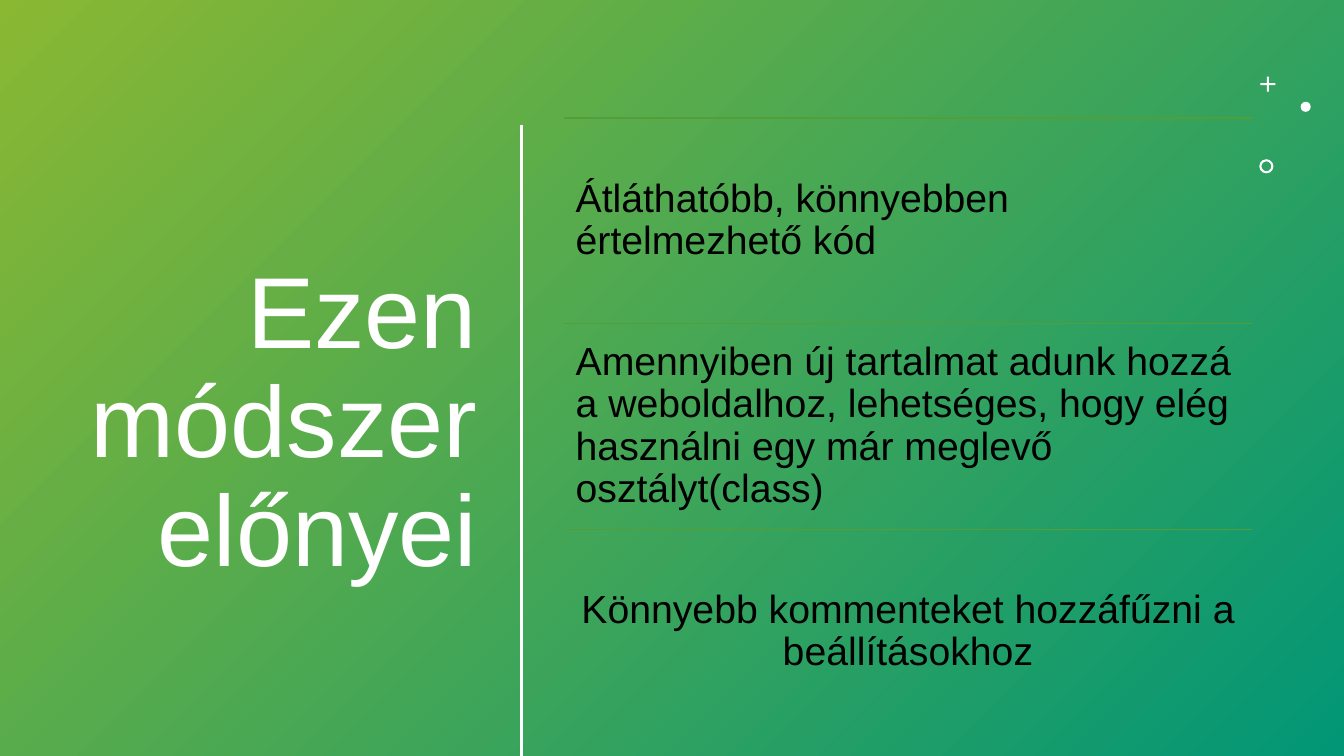
from lxml import etree
from pptx import Presentation
from pptx.dml.color import RGBColor
from pptx.enum.shapes import MSO_CONNECTOR, MSO_SHAPE
from pptx.enum.text import MSO_ANCHOR, PP_ALIGN
from pptx.oxml.ns import qn
from pptx.util import Inches, Pt

STRAIGHT = MSO_CONNECTOR.STRAIGHT
RECTANGLE, OVAL = MSO_SHAPE.RECTANGLE, MSO_SHAPE.OVAL
CROSS, DONUT = MSO_SHAPE.CROSS, MSO_SHAPE.DONUT
MIDDLE = MSO_ANCHOR.MIDDLE
LEFT, CENTER, RIGHT = PP_ALIGN.LEFT, PP_ALIGN.CENTER, PP_ALIGN.RIGHT

WIDTH, HEIGHT = 13.33, 7.5
FONT = "Arial"
WHITE, BLACK = "FFFFFF", "000000"
LIME, TEAL, GREEN = "8AB833", "029676", "549E39"

TITLE = "Ezen módszer előnyei"
BENEFITS = [
    ("Átláthatóbb, könnyebben értelmezhető kód", LEFT),
    ("Amennyiben új tartalmat adunk hozzá a weboldalhoz, lehetséges, "
     "hogy elég használni egy már meglevő osztályt(class)", LEFT),
    ("Könnyebb kommenteket hozzáfűzni a beállításokhoz", CENTER),
]


def color(hex_code):
    return RGBColor.from_string(hex_code)


def add_rule(slide, x1, y1, x2, y2, hex_code, weight):
    rule = slide.shapes.add_connector(
        STRAIGHT, Inches(x1), Inches(y1), Inches(x2), Inches(y2))
    rule.line.color.rgb = color(hex_code)
    rule.line.width = Pt(weight)
    etree.SubElement(rule._element.spPr, qn("a:effectLst"))


def add_text(slide, box, text, size, hex_code, align, inset_x, inset_y):
    frame = slide.shapes.add_textbox(*map(Inches, box)).text_frame
    frame.word_wrap = True
    frame.vertical_anchor = MIDDLE
    frame.margin_left = frame.margin_right = Inches(inset_x)
    frame.margin_top = frame.margin_bottom = Inches(inset_y)
    frame.text = text
    paragraph = frame.paragraphs[0]
    paragraph.alignment = align
    paragraph.line_spacing = 0.9
    font = paragraph.runs[0].font
    font.name, font.size = FONT, Pt(size)
    font.color.rgb = color(hex_code)


def add_plain_shape(slide, kind, box):
    shape = slide.shapes.add_shape(kind, *map(Inches, box))
    shape.shadow.inherit = False
    shape.line.fill.background()
    return shape


def add_background(slide, box):
    fill = add_plain_shape(slide, RECTANGLE, box).fill
    fill.gradient()
    fill.gradient_angle = 315
    for stop, hex_code in zip(fill.gradient_stops, (LIME, TEAL)):
        stop.color.rgb = color(hex_code)


def add_title(slide, box):
    add_text(slide, box, TITLE, 72, WHITE, RIGHT, 0.1, 0.05)
    # Divider to the right of the title, running to the foot of the slide
    left, top, width, _ = box
    divider_x = left + width + 0.34
    add_rule(slide, divider_x, top + 0.08, divider_x, HEIGHT, WHITE, 2)


def add_ornaments(slide, box):
    left, top, _, _ = box
    ornaments = [  # kind, x and y in the box, size, thickness adjustment
        (CROSS, 0.01, 0, 0.15, 0.44),
        (OVAL, 0.41, 0.25, 0.1, None),
        (DONUT, 0, 0.82, 0.14, 0.15),
    ]
    for kind, x, y, size, adjustment in ornaments:
        ornament = add_plain_shape(slide, kind, (left + x, top + y, size, size))
        ornament.fill.solid()
        ornament.fill.fore_color.rgb = color(WHITE)
        if adjustment is not None:
            ornament.adjustments[0] = adjustment


def add_benefits(slide, box):
    left, top, width, height = box
    row_height = height / len(BENEFITS)
    for index, (benefit, align) in enumerate(BENEFITS):
        row_top = top + index * row_height
        add_rule(slide, left, row_top, left + width, row_top, GREEN, 1)
        add_text(slide, (left, row_top, width, row_height),
                 benefit, 28, BLACK, align, 0.12, 0.12)


def main():
    deck = Presentation()
    deck.slide_width, deck.slide_height = Inches(WIDTH), Inches(HEIGHT)
    slide = deck.slides.add_slide(deck.slide_layouts[6])
    add_background(slide, (0, 0, WIDTH, HEIGHT))
    add_title(slide, (0.52, 1.16, 4.31, 6.11))
    add_ornaments(slide, (12.49, 0.76, 0.51, 0.96))
    add_benefits(slide, (5.59, 1.17, 6.83, 6.12))
    deck.save("out.pptx")


if __name__ == "__main__":
    main()
